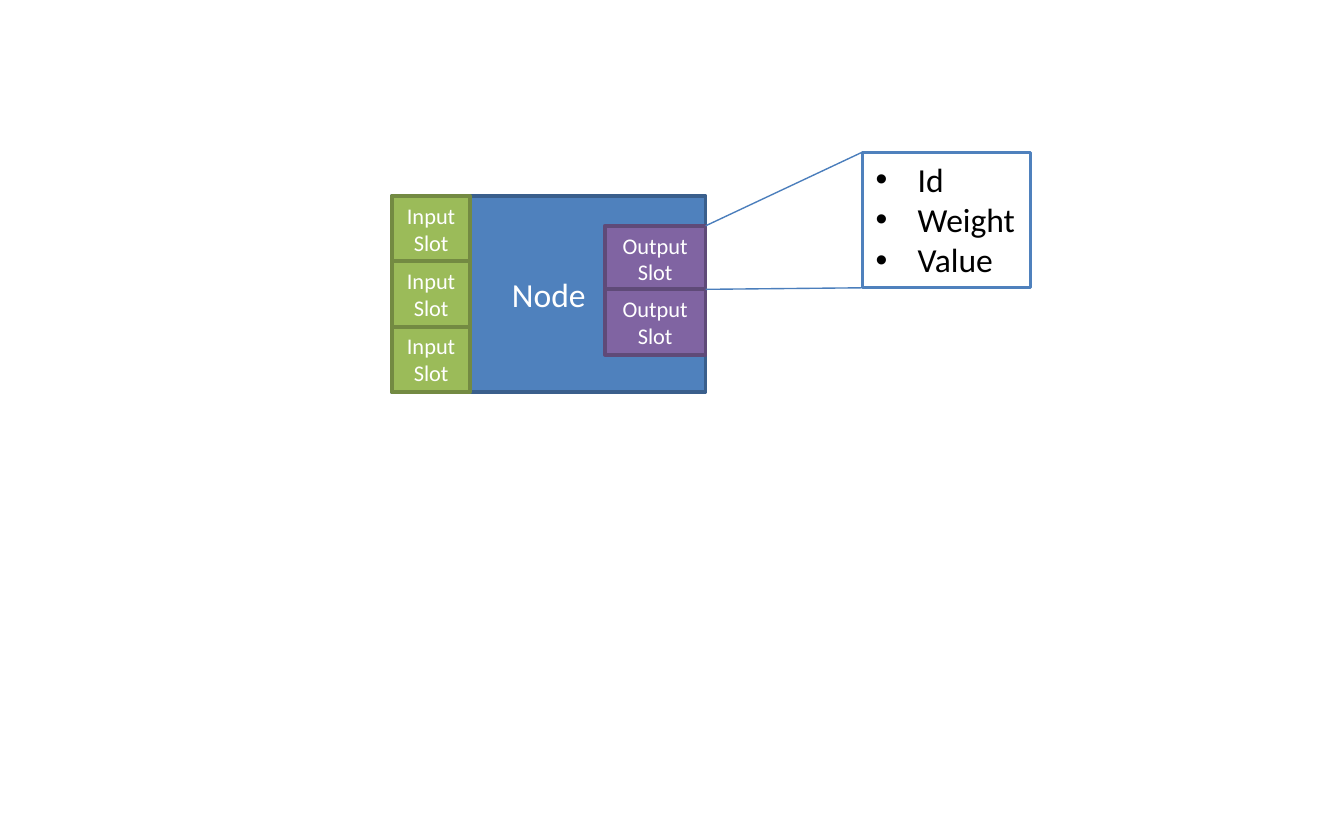
from lxml.etree import SubElement
from pptx import Presentation
from pptx.dml.color import RGBColor
from pptx.enum.shapes import MSO_CONNECTOR, MSO_SHAPE
from pptx.enum.text import MSO_ANCHOR, MSO_AUTO_SIZE, PP_ALIGN
from pptx.oxml.ns import qn
from pptx.util import Pt

WHITE = RGBColor(0xFF, 0xFF, 0xFF)
BLACK = RGBColor(0x00, 0x00, 0x00)
BLUE = RGBColor(0x4F, 0x81, 0xBD)
DARK_BLUE = RGBColor(0x3A, 0x5F, 0x8C)
LINK_BLUE = RGBColor(0x4B, 0x7E, 0xBC)
GREEN = RGBColor(0x9B, 0xBB, 0x59)
DARK_GREEN = RGBColor(0x73, 0x8A, 0x42)
PURPLE = RGBColor(0x80, 0x64, 0xA2)
DARK_PURPLE = RGBColor(0x5F, 0x4A, 0x78)

NODE_LEFT, NODE_TOP, NODE_WIDTH, NODE_HEIGHT = 210, 105, 168, 105
NODE_RIGHT = NODE_LEFT + NODE_WIDTH
INPUT_WIDTH, OUTPUT_WIDTH, SLOT_HEIGHT = 42, 54, 35
OUTPUT_TOP, OUTPUT_STEP = 121, 34
DETAIL_LEFT, DETAIL_TOP, DETAIL_WIDTH, DETAIL_HEIGHT = 462, 81.5, 90, 72.7
BULLET_INDENT = 22.5


def format_text(text_frame, text, size, color, alignment):
    text_frame.text = text
    for paragraph in text_frame.paragraphs:
        paragraph.alignment = alignment
        for run in paragraph.runs:
            run.font.name = "Calibri"
            run.font.size = Pt(size)
            run.font.color.rgb = color


def add_box(slide, left, top, width, height, text, size, fill, line):
    shape = slide.shapes.add_shape(
        MSO_SHAPE.RECTANGLE, Pt(left), Pt(top), Pt(width), Pt(height))
    shape.shadow.inherit = False
    shape.fill.solid()
    shape.fill.fore_color.rgb = fill
    shape.line.color.rgb = line
    shape.line.width = Pt(2)
    shape.text_frame.vertical_anchor = MSO_ANCHOR.MIDDLE
    format_text(shape.text_frame, text, size, WHITE, PP_ALIGN.CENTER)


def add_bullet(paragraph):
    properties = paragraph._p.get_or_add_pPr()
    properties.set("marL", str(Pt(BULLET_INDENT)))
    properties.set("indent", str(-Pt(BULLET_INDENT)))
    SubElement(properties, qn("a:buFont")).set("typeface", "Arial")
    SubElement(properties, qn("a:buChar")).set("char", "•")


def add_detail(slide, items):
    shape = slide.shapes.add_textbox(
        Pt(DETAIL_LEFT), Pt(DETAIL_TOP), Pt(DETAIL_WIDTH), Pt(DETAIL_HEIGHT))
    shape.line.color.rgb = BLUE
    shape.line.width = Pt(1.5)
    text_frame = shape.text_frame
    text_frame.word_wrap = False
    text_frame.auto_size = MSO_AUTO_SIZE.SHAPE_TO_FIT_TEXT
    format_text(text_frame, "\n".join(items), 18, BLACK, PP_ALIGN.LEFT)
    for paragraph in text_frame.paragraphs:
        add_bullet(paragraph)


def add_link(slide, start_y, end_y):
    connector = slide.shapes.add_connector(
        MSO_CONNECTOR.STRAIGHT, Pt(NODE_RIGHT), Pt(start_y), Pt(DETAIL_LEFT), Pt(end_y))
    connector.line.color.rgb = LINK_BLUE
    connector.line.width = Pt(0.75)
    SubElement(connector._element.spPr, qn("a:effectLst"))


def main():
    presentation = Presentation()
    presentation.slide_width = Pt(720)
    presentation.slide_height = Pt(450)
    slide = presentation.slides.add_slide(presentation.slide_layouts[6])

    add_box(slide, NODE_LEFT, NODE_TOP, NODE_WIDTH, NODE_HEIGHT,
            "Node", 18, BLUE, DARK_BLUE)
    for index in range(3):
        add_box(slide, NODE_LEFT, NODE_TOP + index * SLOT_HEIGHT, INPUT_WIDTH,
                SLOT_HEIGHT, "Input\nSlot", 12, GREEN, DARK_GREEN)
    for index in range(2):
        add_box(slide, NODE_RIGHT - OUTPUT_WIDTH, OUTPUT_TOP + index * OUTPUT_STEP,
                OUTPUT_WIDTH, SLOT_HEIGHT, "Output\nSlot", 12, PURPLE, DARK_PURPLE)

    add_detail(slide, ["Id", "Weight", "Value"])
    add_link(slide, OUTPUT_TOP, DETAIL_TOP)
    add_link(slide, OUTPUT_TOP + OUTPUT_STEP, DETAIL_TOP + DETAIL_HEIGHT)

    presentation.save("out.pptx")


main()
